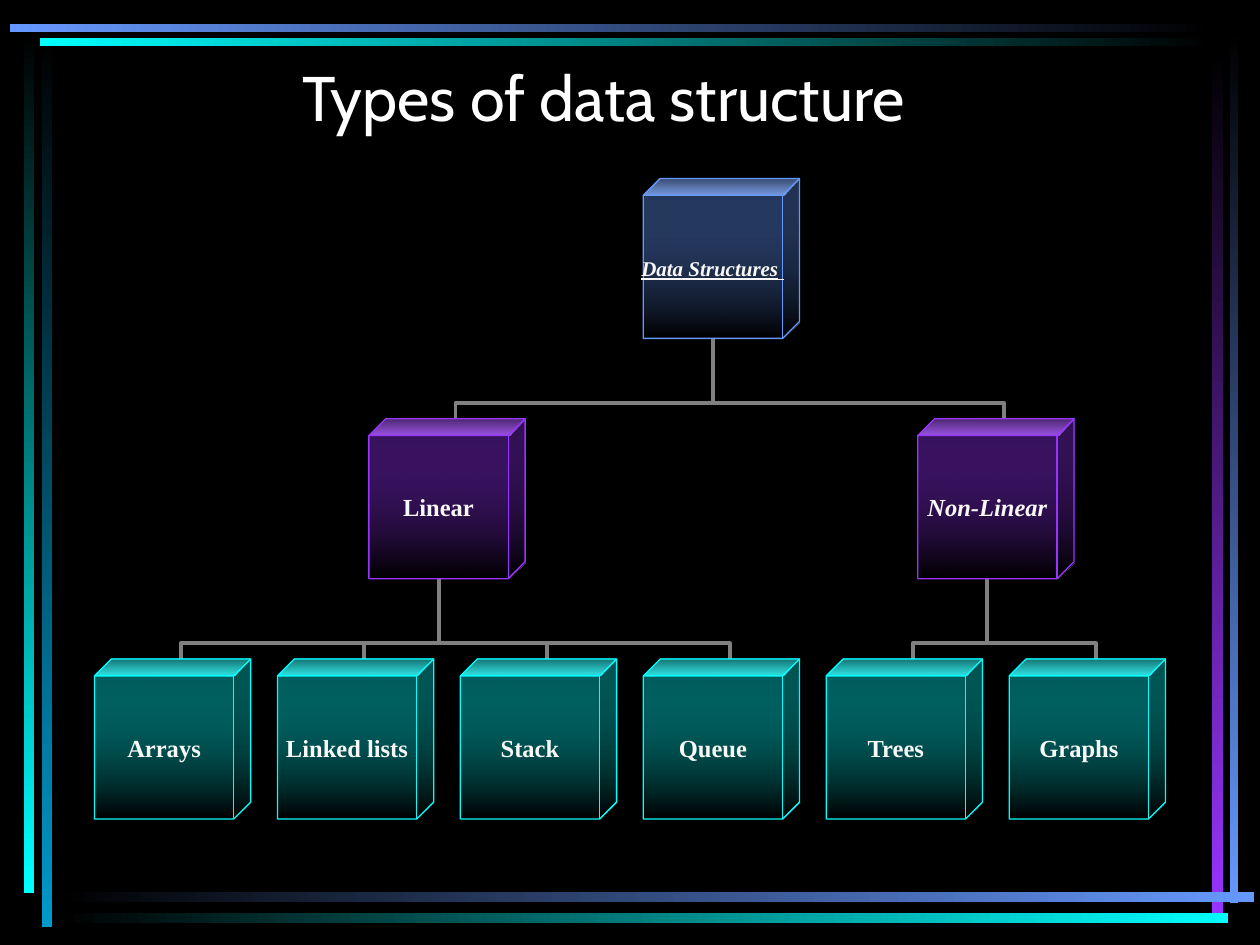
from dataclasses import dataclass

import pptx
import pptx.util
import pptx.dml.color
import pptx.enum.shapes
import pptx.enum.text
import pptx.oxml
import pptx.oxml.ns
from lxml import etree

Pt = pptx.util.Pt
RGB = pptx.dml.color.RGBColor.from_string
SHAPE = pptx.enum.shapes.MSO_SHAPE
CENTER = pptx.enum.text.PP_ALIGN.CENTER


@dataclass(frozen=True)
class Theme:
    """Colours, fonts and type sizes of the slide."""
    back: str = "000000"
    title: str = "FFFFFF"
    label: str = "F8F8F8"
    link: str = "808080"
    blue: str = "6699FF"
    violet: str = "9933FF"
    cyan: str = "00FFFF"
    teal: str = "0099CC"
    title_font: str = "Cabin"
    label_font: str = "Times New Roman"
    title_size: float = 36
    label_size: float = 14
    root_size: float = 12


T = Theme()
DEPTH = 0.108


def style_run(r, font, size, color, bold=False, italic=False, underline=False):
    """Format one run."""
    r.font.name, r.font.size = font, Pt(size)
    r.font.color.rgb = RGB(color)
    r.font.bold, r.font.italic, r.font.underline = bold, italic, underline


def set_gradient(sp, start, end, angle):
    """Fill a shape with a linear gradient of two colours."""
    sp.shadow.inherit = False
    sp.fill.gradient()
    sp.fill.gradient_angle = angle
    for stop, color in zip(sp.fill.gradient_stops, (start, end)):
        stop.color.rgb = RGB(color)


def add_bar(s, box, start, end):
    """Add a border bar that shades along its longer side."""
    x, y, w, h = box
    sp = s.shapes.add_shape(SHAPE.RECTANGLE, Pt(x), Pt(y), Pt(w), Pt(h))
    set_gradient(sp, start, end, 0 if w > h else 270)
    sp.line.fill.background()


def add_frame(s, box):
    """Add the pairs of fading bars along the four edges of the box."""
    x, y, w, h = box
    right, bottom = x + w, y + h
    add_bar(s, (x + 23.8, y + 20.2, 5.8, 509.8), T.back, T.teal)
    add_bar(s, (x + 13.7, y + 18, 5.8, 492.5), T.back, T.cyan)
    add_bar(s, (right - 17.3, y + 17.3, 5, 499), T.back, T.blue)
    add_bar(s, (right - 27.4, y + 30.2, 6.2, 491.8), T.back, T.violet)
    add_bar(s, (x + 32.4, bottom - 30.2, 684, 5.8), T.back, T.blue)
    add_bar(s, (x + 32.4, bottom - 18.4, 669.6, 5.8), T.back, T.cyan)
    add_bar(s, (x + 22.7, y + 21.6, 671, 4.6), T.cyan, T.back)
    add_bar(s, (x + 5.8, y + 13.5, 688.3, 5), T.blue, T.back)


def add_title(s, box, text):
    """Place the title placeholder in the box."""
    sp = s.shapes.title
    sp.left, sp.top, sp.width, sp.height = map(Pt, box)
    tf = sp.text_frame
    tf.text = text
    tf.auto_size = pptx.enum.text.MSO_AUTO_SIZE.NONE
    tf.vertical_anchor = pptx.enum.text.MSO_ANCHOR.TOP
    p = tf.paragraphs[0]
    p.alignment = CENTER
    style_run(p.runs[0], T.title_font, T.title_size, T.title)


def add_link(s, start, end):
    """Add an elbow link that drops from the parent to the child."""
    (x1, y1), (x2, y2) = start, end
    cx, cy, dx, dy = (x1 + x2) / 2, (y1 + y2) / 2, x2 - x1, y2 - y1
    c = s.shapes.add_connector(
        pptx.enum.shapes.MSO_CONNECTOR.ELBOW,
        Pt(cx - dy / 2), Pt(cy + dx / 2), Pt(cx + dy / 2), Pt(cy - dx / 2))
    c.line.color.rgb, c.line.width = RGB(T.link), Pt(2.25)
    qn = pptx.oxml.ns.qn
    pr = c._element.spPr
    pr.find(qn("a:xfrm")).set("rot", "5400000")
    guides = pr.find(qn("a:prstGeom")).get_or_add_avLst()
    etree.SubElement(guides, qn("a:gd"), name="adj1", fmla="val 80400")
    etree.SubElement(pr, qn("a:effectLst"))


def add_cube(s, box, text, color, size, italic=False, underline=False):
    """Add a labelled cube that fades to the background."""
    sp = s.shapes.add_shape(SHAPE.CUBE, *map(Pt, box))
    sp.adjustments[0] = DEPTH
    set_gradient(sp, color, T.back, 270)
    tint = sp._element.xpath(".//a:gradFill//a:srgbClr")[0]
    etree.SubElement(tint, pptx.oxml.ns.qn("a:alpha"), val="40000")
    sp.line.color.rgb, sp.line.width = RGB(color), Pt(0.75)
    tf = sp.text_frame
    tf.margin_left = tf.margin_right = tf.margin_top = tf.margin_bottom = 0
    tf.word_wrap = False
    tf.vertical_anchor = pptx.enum.text.MSO_ANCHOR.MIDDLE
    p = tf.paragraphs[0]
    p.text = text
    p.alignment = CENTER
    style_run(p.runs[0], T.label_font, size, T.label, True, italic, underline)
    return p


def add_tree(s, box):
    """Draw the three levels of data structures inside the box."""
    x, y, w, h = box
    cw, ch = 89.3, 91.4
    step_x, step_y = (w - cw) / 5, (h - ch) / 2
    depth = DEPTH * cw
    branches = [("Linear", 1.5, False, ["Arrays", "Linked lists", "Stack", "Queue"]),
                ("Non-Linear", 4.5, True, ["Trees", "Graphs"])]
    root_col = 3

    def corner(col, row):
        """Return the top left corner of a cube."""
        return x + col * step_x, y + row * step_y

    def link(parent_col, child_col, row):
        """Link a cube to one on the next row."""
        px, py = corner(parent_col, row)
        kx, ky = corner(child_col, row + 1)
        add_link(s, (px + (cw - depth) / 2, py + ch), (kx + (cw + depth) / 2, ky))

    leaves = []
    for _, col, _, names in branches:
        link(root_col, col, 0)
        for name in names:
            link(col, len(leaves), 1)
            leaves.append(name)

    p = add_cube(s, (*corner(root_col, 0), cw, ch), "Data Structures",
                 T.blue, T.root_size, True, True)
    r = p.add_run()
    r.text = " "
    style_run(r, T.label_font, T.label_size, T.label, True, True, True)
    for name, col, italic, _ in branches:
        add_cube(s, (*corner(col, 1), cw, ch), name, T.violet, T.label_size, italic)
    for col, name in enumerate(leaves):
        add_cube(s, (*corner(col, 2), cw, ch), name, T.cyan, T.label_size)


def main():
    """Build and save the slide."""
    prs = pptx.Presentation()
    prs.slide_width, prs.slide_height = Pt(720), Pt(540)
    s = prs.slides.add_slide(prs.slide_layouts[5])
    s.background.fill.solid()
    s.background.fill.fore_color.rgb = RGB(T.back)
    add_frame(s, (0, 0, 720, 540))
    add_title(s, (30, 30, 630, 66), "Types of data structure")
    add_tree(s, (54, 102, 612, 366))
    prs.save("out.pptx")


if __name__ == "__main__":
    main()
